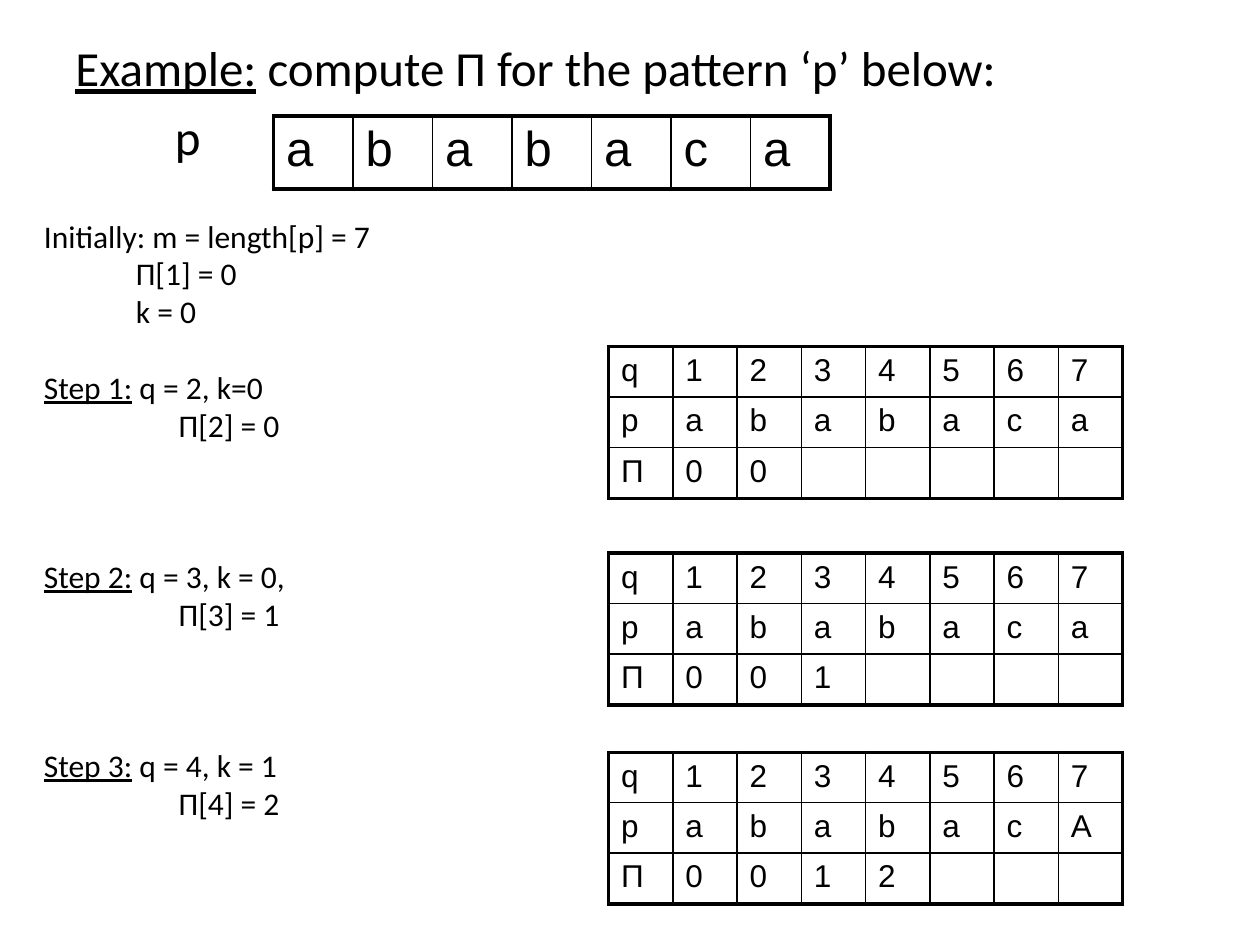
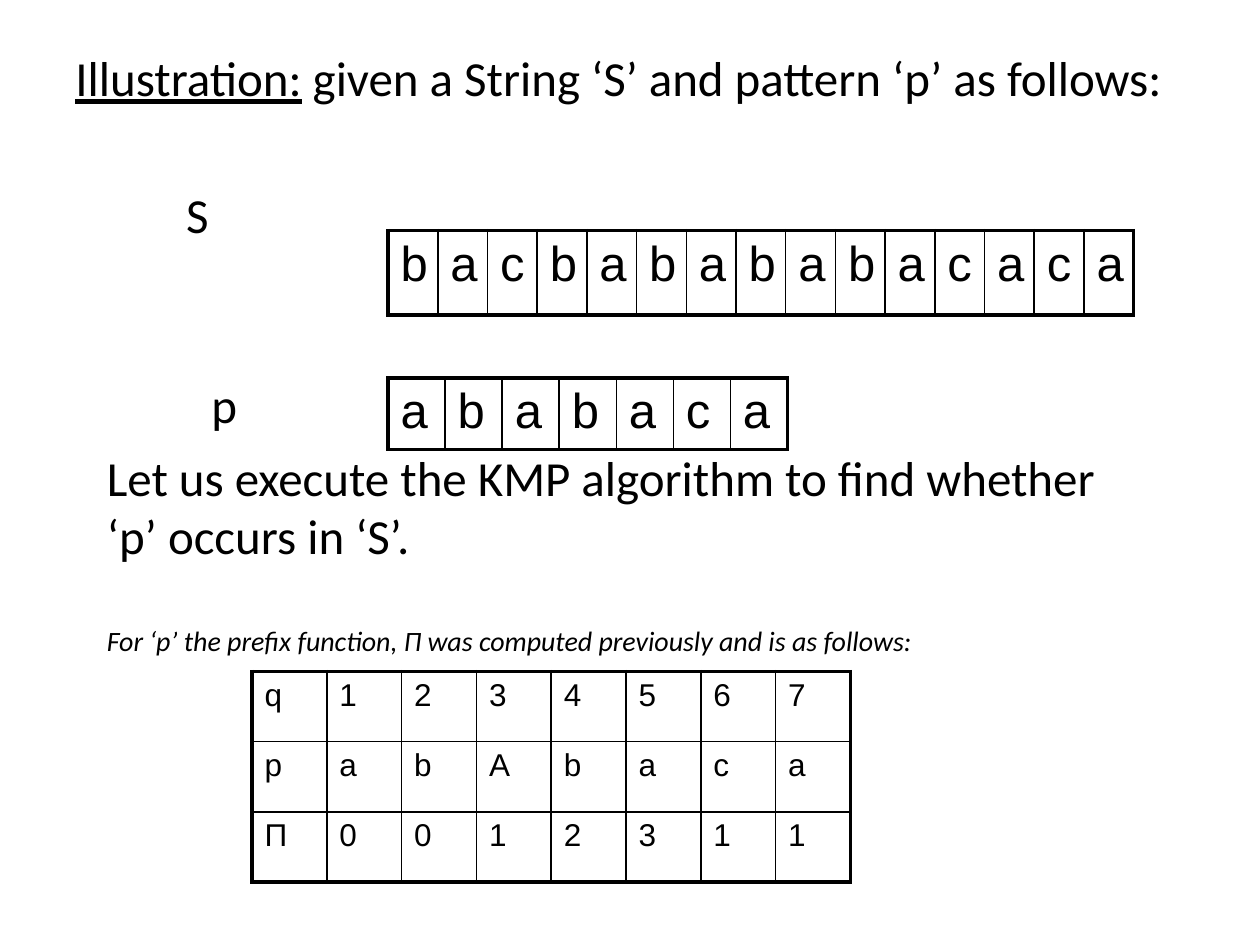
from lxml import etree
from pptx import Presentation
from pptx import util as u
from pptx.dml.color import RGBColor
from pptx.enum import text
from pptx.oxml.ns import qn

BLACK = RGBColor(0x00, 0x00, 0x00)
WHITE = RGBColor(0xFF, 0xFF, 0xFF)
BODY_FONT, CELL_FONT = "Calibri", "Arial"
LARGE, MEDIUM, SMALL = 28, 18, 16
OUTER_LINE, INNER_LINE = 2.25, 1
ROW_GAP = 5.6
LARGE_LINE, MEDIUM_LINE = 33.6, 21.6

PATTERN = "ababaca"
POSITIONS = "q1234567"


def apply(target, formats):
    for name, value in formats.items():
        setattr(target, name, value)


def line(words, lead="", indent=0, before=0, **formats):
    """Describe a paragraph: an underlined lead, then words, indented in inches."""
    return {"words": words, "lead": lead, "indent": indent,
            "before": before, "formats": formats}


class Deck:
    """Holds the presentation, its style and the slide being filled."""

    def __init__(self):
        self.presentation = Presentation()
        self.presentation.slide_width = u.Inches(10)
        self.presentation.slide_height = u.Inches(7.5)
        self.slide = None

    def add_slide(self):
        self.slide = self.presentation.slides.add_slide(
            self.presentation.slide_layouts[6])
        fill = self.slide.background.fill
        fill.solid()
        fill.fore_color.rgb = WHITE

    def style_font(self, font, name, size, **formats):
        apply(font, {"name": name, "size": u.Pt(size), **formats})
        font.color.rgb = BLACK

    def add_text(self, left, top, width, height, lines, size=LARGE, wrap=True):
        box = self.slide.shapes.add_textbox(
            u.Inches(left), u.Inches(top), u.Inches(width), u.Inches(height))
        frame = box.text_frame
        apply(frame, {"word_wrap": wrap, "auto_size": text.MSO_AUTO_SIZE.NONE})
        for index, item in enumerate(lines):
            paragraph = frame.paragraphs[0] if index == 0 else frame.add_paragraph()
            if item["before"]:
                paragraph.space_before = u.Pt(item["before"])
            if item["indent"]:
                properties = paragraph._p.get_or_add_pPr()
                properties.set("marL", str(u.Inches(item["indent"])))
                properties.set("indent", "0")
            for words, underline in ((item["lead"], True), (item["words"], False)):
                if words:
                    run = paragraph.add_run()
                    run.text = words
                    formats = {"size": size, "underline": underline, **item["formats"]}
                    self.style_font(run.font, BODY_FONT, **formats)

    def add_borders(self, cell, widths):
        """Draw the cell's sides; widths maps L, R, T and B to points."""
        properties = cell._tc.get_or_add_tcPr()
        for side, width in widths.items():
            border = etree.SubElement(properties, qn(f"a:ln{side}"), w=str(u.Pt(width)))
            fill = etree.SubElement(border, qn("a:solidFill"))
            etree.SubElement(fill, qn("a:srgbClr"), val=str(BLACK))

    def add_grid(self, left, top, width, height, rows, size=MEDIUM):
        """Add a table with one character per cell; a space leaves a cell empty."""
        row_count, column_count = len(rows), len(rows[0])
        table = self.slide.shapes.add_table(
            row_count, column_count, u.Inches(left), u.Inches(top),
            u.Inches(width), u.Inches(height)).table
        apply(table, {"first_row": False, "horz_banding": False})
        for r, row in enumerate(rows):
            for c, character in enumerate(row):
                cell = table.cell(r, c)
                edges = {"L": c == 0, "R": c == column_count - 1,
                         "T": r == 0, "B": r == row_count - 1}
                self.add_borders(cell, {side: OUTER_LINE if outer else INNER_LINE
                                        for side, outer in edges.items()})
                cell.fill.background()
                if character != " ":
                    run = cell.text_frame.paragraphs[0].add_run()
                    run.text = character
                    self.style_font(run.font, CELL_FONT, size)

    def add_prefix_table(self, left, top, width, height, prefix, pattern=PATTERN):
        columns = len(POSITIONS)
        rows = [POSITIONS, "p" + pattern, ("Π" + prefix).ljust(columns)]
        self.add_grid(left, top, width, height, rows)


def build_example(deck):
    deck.add_slide()
    deck.add_text(0.5, 0.25, 8.08, 1.33, [
        line(" compute Π for the pattern ‘p’ below:", "Example:"),
        line("p", indent=0.79, before=ROW_GAP)])
    deck.add_grid(2.17, 0.92, 4.42, 0.58, [PATTERN], LARGE)

    steps = [
        (" q = 2, k=0", "Π[2] = 0", 1),
        (" q = 3, k = 0,", "Π[3] = 1", 3),
        (" q = 4, k = 1", "Π[4] = 2", 3),
    ]
    lines = [line("Initially: m = length[p] = 7"),
             line("Π[1] = 0", indent=0.73),
             line("k = 0", indent=0.73)]
    for number, (state, result, gap_lines) in enumerate(steps, 1):
        lines += [line(state, f"Step {number}:", before=gap_lines * MEDIUM_LINE),
                  line(result, indent=1.07)]
    deck.add_text(0.25, 1.67, 4.25, 5.51, lines, MEDIUM)

    for top, prefix, pattern in ((2.75, "00", PATTERN), (4.39, "001", PATTERN),
                                 (5.97, "0012", "ababacA")):
        deck.add_prefix_table(4.83, top, 4.08, 1.2, prefix, pattern)


def build_illustration(deck):
    deck.add_slide()
    deck.add_text(0.5, 0.33, 9, 6.37, [
        line(" given a String ‘S’ and pattern ‘p’ as follows:", "Illustration:"),
        line("S", indent=0.88, before=LARGE_LINE + 2 * ROW_GAP)])
    deck.add_grid(3.08, 1.83, 5.92, 0.67, ["bacbabababacaca"], LARGE)
    deck.add_text(1.58, 2.92, 0.42, 0.57, [line("p")], wrap=False)
    deck.add_grid(3.08, 3, 3.17, 0.57, [PATTERN], LARGE)
    deck.add_text(0.75, 3.5, 8.1, 1.77, [
        line("Let us execute the KMP algorithm to find whether ‘p’ occurs in ‘S’."),
        line("For ‘p’ the prefix function, Π was computed previously and is as follows:",
             before=LARGE_LINE, size=SMALL, italic=True)])
    deck.add_prefix_table(2, 5.33, 4.75, 1.67, "0012311", "abAbaca")


def main():
    deck = Deck()
    build_example(deck)
    build_illustration(deck)
    deck.presentation.save("out.pptx")


if __name__ == "__main__":
    main()
